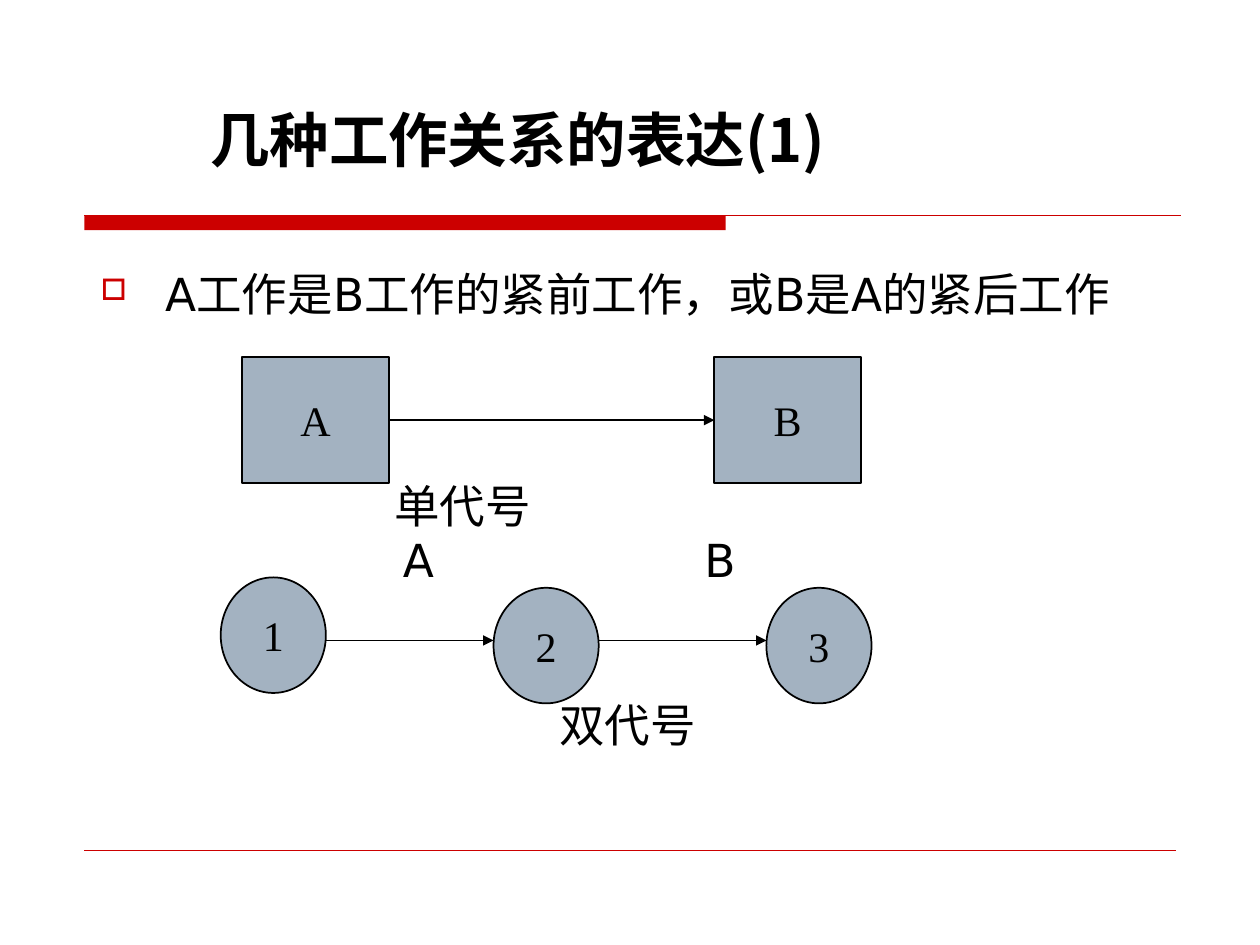
from lxml.etree import SubElement
from pptx import Presentation
from pptx.dml.color import RGBColor
from pptx.enum.shapes import MSO_CONNECTOR as Connector, MSO_SHAPE as Shape
from pptx.enum.text import MSO_ANCHOR as Anchor, PP_ALIGN as Align
from pptx.oxml.ns import qn
from pptx.util import Cm, Pt


def color(hex_string):
    return RGBColor.from_string(hex_string)


class DiagramSlide:
    RED, BLACK, NODE_FILL = "CC0000", "000000", "A3B2C1"
    LATIN, CHINESE, SERIF = "DejaVu Sans", "Noto Sans CJK SC", "Times New Roman"

    def __init__(self, slide):
        self.shapes = slide.shapes

    def run(self, paragraph, text, size, font, bold=False):
        run = paragraph.add_run()
        run.text = text
        run.font.size = Pt(size)
        run.font.name = font
        run.font.bold = bold
        run.font.color.rgb = color(self.BLACK)
        east_asian = SubElement(run.font._element, qn("a:ea"))
        east_asian.set("typeface", self.CHINESE)

    def text_box(self, left, top, width, height, anchor):
        box = self.shapes.add_textbox(Cm(left), Cm(top), Cm(width), Cm(height))
        frame = box.text_frame
        frame.word_wrap = True
        frame.vertical_anchor = anchor
        return frame

    def title(self, text):
        frame = self.text_box(3.99, 1.52, 18.36, 2.13, Anchor.BOTTOM)
        self.run(frame.paragraphs[0], text, 34, self.CHINESE, bold=True)

    def bullet(self, text):
        frame = self.text_box(1.78, 5.46, 21.79, 2.3, Anchor.TOP)
        paragraph = frame.paragraphs[0]
        paragraph.line_spacing = 0.8
        properties = paragraph._p.get_or_add_pPr()
        properties.set("marL", str(Cm(1.3)))
        properties.set("indent", str(-Cm(1.3)))
        bullet_color = SubElement(properties, qn("a:buClr"))
        SubElement(bullet_color, qn("a:srgbClr")).set("val", self.RED)
        SubElement(properties, qn("a:buSzPct")).set("val", "65000")
        SubElement(properties, qn("a:buChar")).set("char", "□")
        self.run(paragraph, text, 26, self.LATIN)

    def label(self, left, middle, text):
        """Place text by its left edge and vertical middle."""
        frame = self.text_box(left, middle - 0.6, 3, 1.2, Anchor.MIDDLE)
        frame.margin_left = frame.margin_right = 0
        frame.margin_top = frame.margin_bottom = 0
        self.run(frame.paragraphs[0], text, 26, self.LATIN)

    def shape(self, kind, left, top, width, height, fill):
        shape = self.shapes.add_shape(kind, Cm(left), Cm(top), Cm(width), Cm(height))
        shape.shadow.inherit = False
        shape.fill.solid()
        shape.fill.fore_color.rgb = color(fill)
        return shape

    def bar(self, left, top, width, height):
        self.shape(Shape.RECTANGLE, left, top, width, height, self.RED).line.fill.background()

    def node(self, kind, left, top, width, height, text):
        node = self.shape(kind, left, top, width, height, self.NODE_FILL)
        node.line.color.rgb = color(self.BLACK)
        node.line.width = Pt(1)
        frame = node.text_frame
        frame.word_wrap = False
        frame.vertical_anchor = Anchor.MIDDLE
        paragraph = frame.paragraphs[0]
        paragraph.alignment = Align.CENTER
        self.run(paragraph, text, 24, self.SERIF)

    def line(self, start, end, y, line_color, width):
        line = self.shapes.add_connector(Connector.STRAIGHT, Cm(start), Cm(y), Cm(end), Cm(y))
        line.line.color.rgb = color(line_color)
        line.line.width = Pt(width)
        SubElement(line._element.spPr, qn("a:effectLst"))
        return line

    def arrow(self, start, end, y):
        arrow = self.line(start, end, y, self.BLACK, 1)
        outline = arrow.line._get_or_add_ln()
        SubElement(outline, qn("a:tailEnd")).set("type", "triangle")


def main():
    presentation = Presentation()
    presentation.slide_width, presentation.slide_height = Cm(25.4), Cm(19.05)
    diagram = DiagramSlide(presentation.slides.add_slide(presentation.slide_layouts[6]))

    diagram.bar(1.7, 4.34, 12.93, 0.3)
    diagram.line(1.7, 23.8, 4.34, diagram.RED, 0.75)
    diagram.line(1.7, 23.7, 17.15, diagram.RED, 0.25)
    diagram.title("几种工作关系的表达(1)")
    diagram.bullet("A工作是B工作的紧前工作，或B是A的紧后工作")

    # Activity on node
    box_width, box_lefts = 2.96, (4.88, 14.4)
    for left, name in zip(box_lefts, "AB"):
        diagram.node(Shape.RECTANGLE, left, 7.2, box_width, 2.54, name)
    diagram.arrow(box_lefts[0] + box_width, box_lefts[1], 8.47)
    diagram.label(7.95, 10.18, "单代号")

    # Activity on arrow
    circle_width, circle_pitch = 2.12, 5.5
    circle_lefts = [4.45 + circle_pitch * index for index in range(3)]
    for left, top, number in zip(circle_lefts, (11.64, 11.85, 11.85), "123"):
        diagram.node(Shape.OVAL, left, top, circle_width, 2.33, number)
    for left, right in zip(circle_lefts, circle_lefts[1:]):
        diagram.arrow(left + circle_width, right, 12.91)
    diagram.label(8.12, 11.28, "A")
    diagram.label(14.2, 11.28, "B")
    diagram.label(11.27, 14.6, "双代号")

    presentation.save("out.pptx")


if __name__ == "__main__":
    main()
